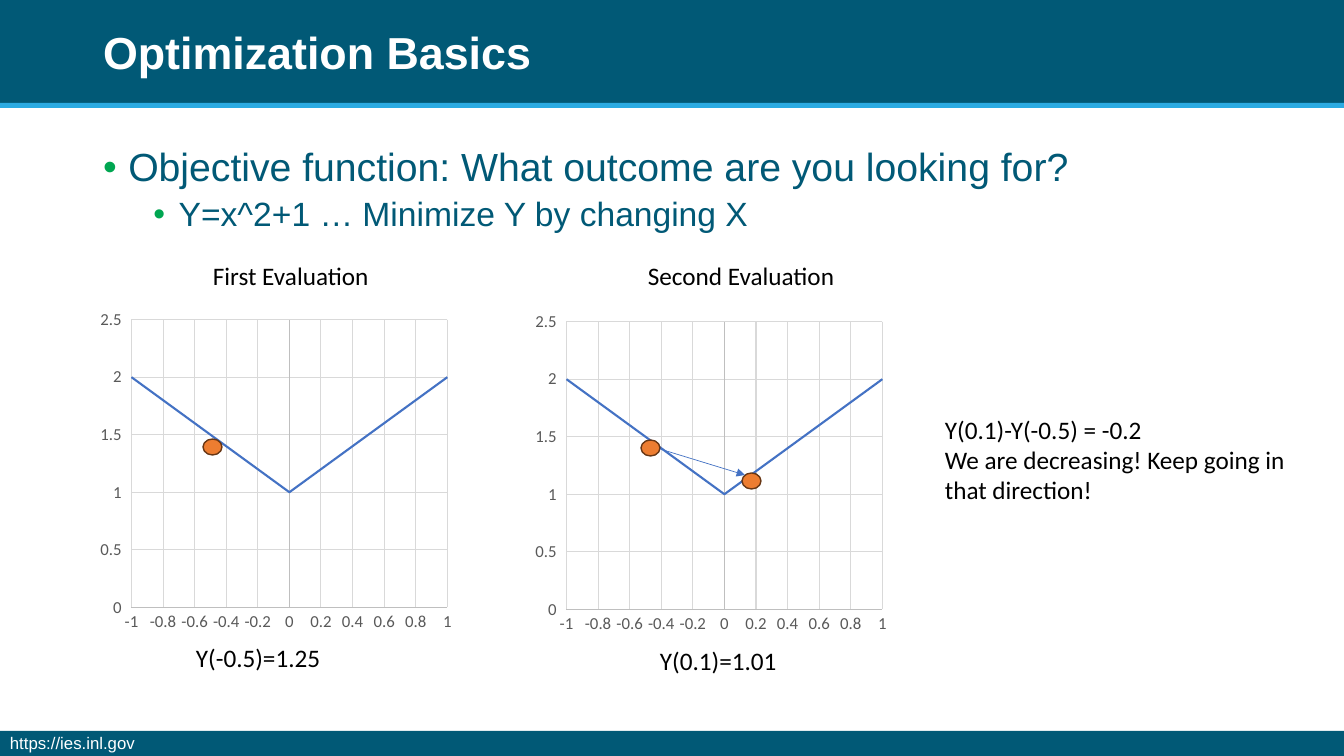
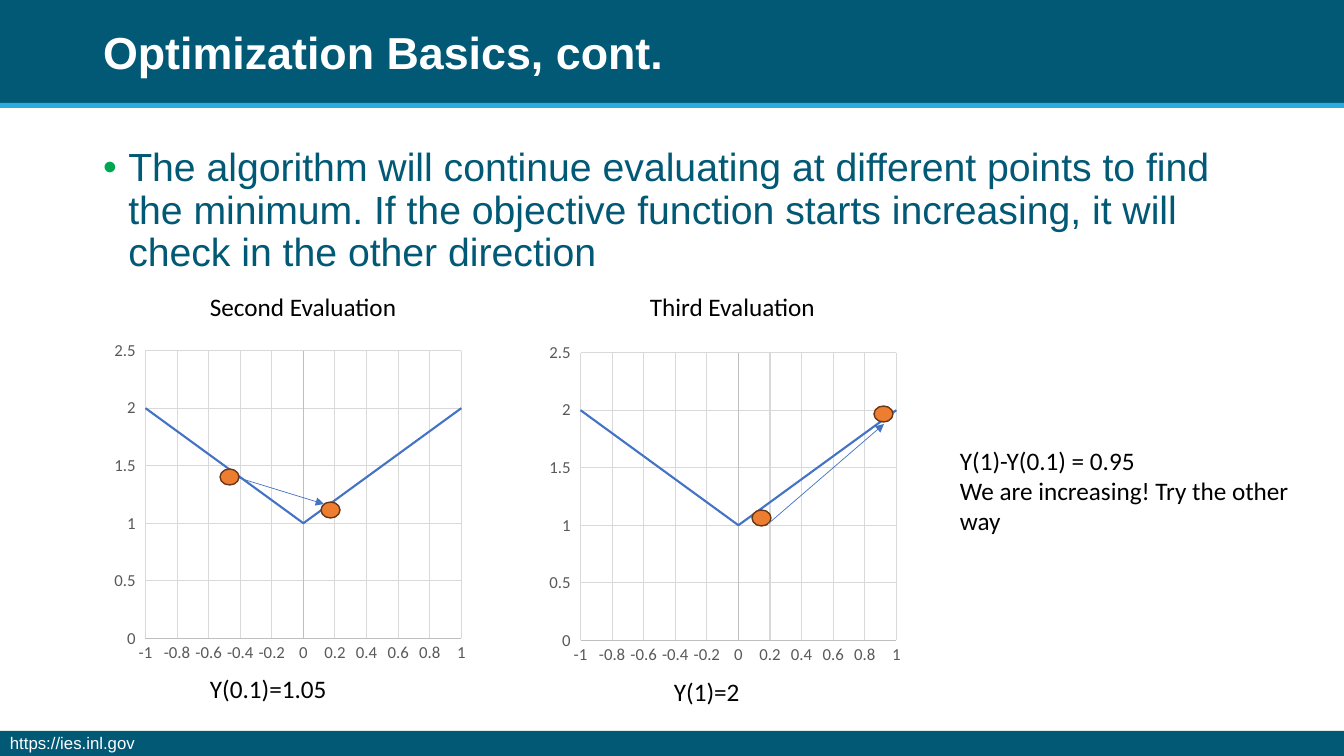
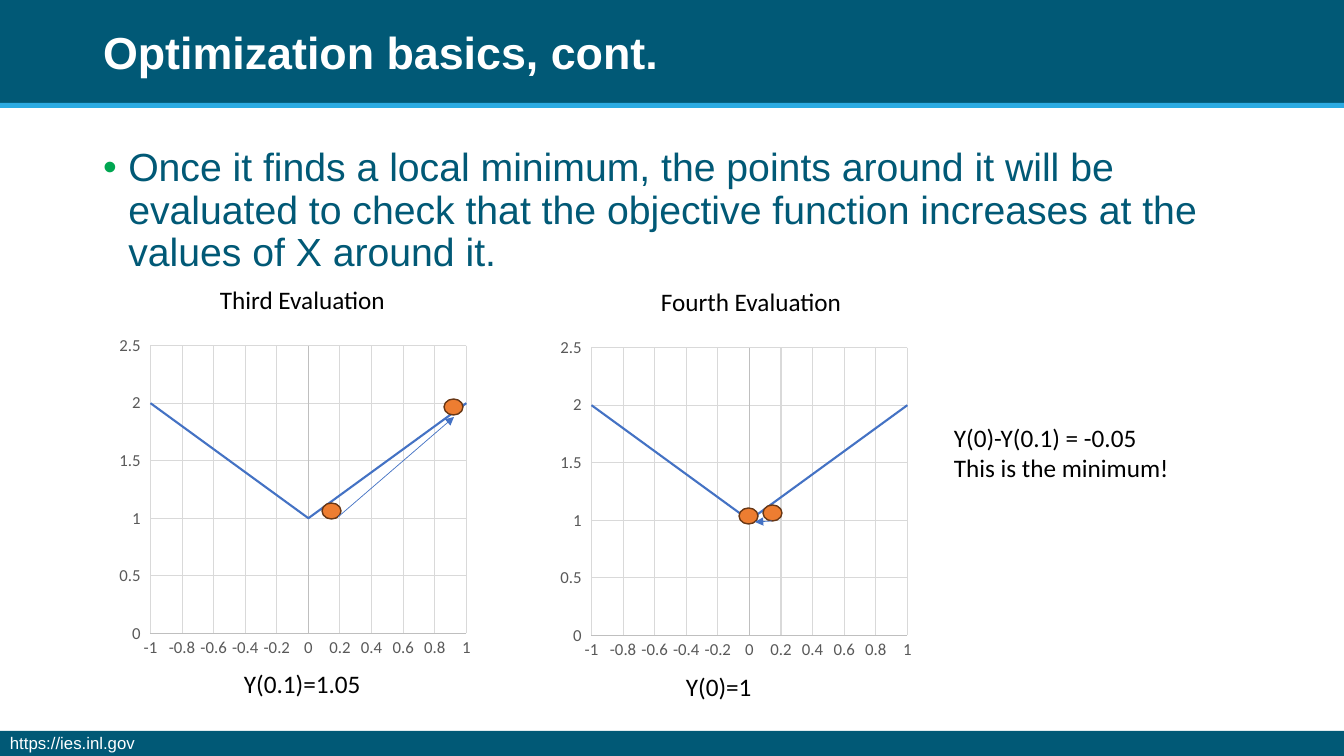
"""Build three slides that explain how an optimizer searches for a minimum."""
import lxml.etree
import pptx
import pptx.chart.data
import pptx.dml.color
import pptx.enum.chart
import pptx.enum.shapes
import pptx.enum.text
import pptx.oxml.ns
import pptx.util

COLORS = {
    "teal": "015976", "sky": "2BABE2", "green": "00A651", "white": "FFFFFF",
    "black": "000000", "curve": "4472C4", "dot": "ED7D31", "dot_edge": "683715",
    "grid": "D9D9D9", "axis": "BFBFBF", "tick": "595959",
}
RGB = {name: pptx.dml.color.RGBColor.from_string(value) for name, value in COLORS.items()}
Pt = pptx.util.Pt
qn = pptx.oxml.ns.qn
W, H = 1344, 756
CHART_W, CHART_H = 366, 335
DOT_W, DOT_H = 19, 16

EVALUATIONS = {
    "First": {"width": 177, "dots": [(110, 136)], "arrow": None},
    "Second": {"width": 209, "dots": [(113, 135), (214, 168)], "arrow": (132, 144, 217, 170)},
    "Third": {"width": 187, "dots": [(210, 174), (332, 70)], "arrow": (226, 188, 342, 88)},
    "Fourth": {"width": 203, "dots": [(210, 174), (186, 177)], "arrow": (219, 190, 202, 191)},
}

PAGES = [
    {
        "title": "Optimization Basics",
        "bullets": ["Objective function: What outcome are you looking for?",
                    "Y=x^2+1 … Minimize Y by changing X"],
        "charts": [("First", (93, 303), (203, 255), "Y(-0.5)=1.25", (186, 637, 146)),
                   ("Second", (528, 305), (638, 255), "Y(0.1)=1.01", (650, 640, 138))],
        "note": ["Y(0.1)-Y(-0.5) = -0.2", "We are decreasing! Keep going in that direction!"],
        "note_box": (935, 409, 391, 102),
    },
    {
        "title": "Optimization Basics, cont.",
        "bullets": ["The algorithm will continue evaluating at different points to find the minimum. "
                    "If the objective function starts increasing, it will check in the other direction"],
        "charts": [("Second", (107, 334), (200, 286), "Y(0.1)=1.05", (200, 668, 138)),
                   ("Third", (542, 336), (640, 286), "Y(1)=2", (664, 671, 87))],
        "note": ["Y(1)-Y(0.1) = 0.95", "We are increasing! Try the other way"],
        "note_box": (950, 440, 391, 102),
    },
    {
        "title": "Optimization basics, cont.",
        "bullets": ["Once it finds a local minimum, the points around it will be evaluated to check "
                    "that the objective function increases at the values of X around it."],
        "charts": [("Third", (112, 329), (210, 279), "Y(0.1)=1.05", (234, 663, 138)),
                   ("Fourth", (553, 331), (651, 281), "Y(0)=1", (676, 666, 87))],
        "note": ["Y(0)-Y(0.1) = -0.05", "This is the minimum!"],
        "note_box": (944, 417, 391, 72),
    },
]


def px(*lengths):
    """Turn pixel lengths into EMU."""
    return [round(length * 12192000 / W) for length in lengths]


def add_text(s, lines, box, font="Calibri", size=18, color="black", wrap=False):
    """Add a text box with one paragraph per line."""
    tf = s.shapes.add_textbox(*px(*box)).text_frame
    tf.word_wrap = wrap
    tf.auto_size = pptx.enum.text.MSO_AUTO_SIZE.SHAPE_TO_FIT_TEXT
    for i, line in enumerate(lines):
        p = tf.paragraphs[0] if i == 0 else tf.add_paragraph()
        r = p.add_run()
        r.text = line
        r.font.name, r.font.size = font, Pt(size)
        r.font.color.rgb = RGB[color]


prs = pptx.Presentation()
prs.slide_width, prs.slide_height = px(W, H)
layout = prs.slide_layouts[1]
for ph in list(layout.placeholders):
    if ph.placeholder_format.idx > 1:
        ph.element.getparent().remove(ph.element)
for ph, box in zip(layout.placeholders, [(93, -18, 1159, 146), (93, 143, 1159, 480)]):
    ph.left, ph.top, ph.width, ph.height = px(*box)

slides = [prs.slides.add_slide(layout) for _ in PAGES]

s = slides[0]
for top, height, color in [(0, 103, "teal"), (103, 5, "sky"), (731, 25, "teal")]:
    sp = s.shapes.add_shape(pptx.enum.shapes.MSO_SHAPE.RECTANGLE, *px(0, top, W, height))
    sp.shadow.inherit = False
    sp.fill.solid()
    sp.fill.fore_color.rgb = RGB[color]
    sp.line.fill.background()
add_text(s, ["https://ies.inl.gov"], (0, 728, 146, 30), "Arial", 12, "white")
for i, sp in enumerate(list(s.shapes)[2:]):
    layout.shapes.element.insert(2 + i, sp.element)

for s, page in zip(slides, PAGES):
    tf = s.shapes.title.text_frame
    tf.auto_size = pptx.enum.text.MSO_AUTO_SIZE.NONE
    tf.vertical_anchor = pptx.enum.text.MSO_ANCHOR.MIDDLE
    p = tf.paragraphs[0]
    p.alignment = pptx.enum.text.PP_ALIGN.LEFT
    p.line_spacing = 0.9
    r = p.add_run()
    r.text = page["title"]
    r.font.name, r.font.size, r.font.bold = "Arial", Pt(32), True
    r.font.color.rgb = RGB["white"]

    tf = s.placeholders[1].text_frame
    tf.auto_size = pptx.enum.text.MSO_AUTO_SIZE.NONE
    for level, line in enumerate(page["bullets"]):
        p = tf.paragraphs[0] if level == 0 else tf.add_paragraph()
        p.level = level
        pPr = p._p.get_or_add_pPr()
        pPr.set("marL", str(228600 + 457200 * level))
        pPr.set("indent", "-228600")
        buClr = lxml.etree.SubElement(pPr, qn("a:buClr"))
        lxml.etree.SubElement(buClr, qn("a:srgbClr"), val=COLORS["green"])
        lxml.etree.SubElement(pPr, qn("a:buFont"), typeface="Arial")
        lxml.etree.SubElement(pPr, qn("a:buChar"), char="•")
        p.line_spacing = 0.9
        p.space_before = Pt(5 * level)
        r = p.add_run()
        r.text = line
        r.font.name, r.font.size = "Arial", Pt(28 - 4 * level)
        r.font.color.rgb = RGB["teal"]

    for name, (left, top), heading_at, caption, (cap_left, cap_top, cap_width) in page["charts"]:
        evaluation = EVALUATIONS[name]
        data = pptx.chart.data.XyChartData()
        series = data.add_series("Series 1")
        for x, y in [(-1, 2), (0, 1), (1, 2)]:
            series.add_data_point(x, y)
        chart = s.shapes.add_chart(
            pptx.enum.chart.XL_CHART_TYPE.XY_SCATTER_SMOOTH_NO_MARKERS,
            *px(left, top, CHART_W, CHART_H), data).chart
        chart.has_title = chart.has_legend = False
        chart.font.name, chart.font.size = "Calibri", Pt(10)
        chart.font.color.rgb = RGB["black"]
        plot = chart.plots[0]
        plot.vary_by_categories = False
        curve = plot.series[0]
        curve.smooth = True
        curve.format.line.color.rgb = RGB["curve"]
        curve.format.line.width = Pt(1.5)
        for axis, low, high, step in [(chart.category_axis, -1, 1, 0.2),
                                      (chart.value_axis, 0, 2.5, 0.5)]:
            axis.minimum_scale, axis.maximum_scale, axis.major_unit = low, high, step
            axis.major_tick_mark = axis.minor_tick_mark = pptx.enum.chart.XL_TICK_MARK.NONE
            axis.has_major_gridlines = True
            for line, color in [(axis.format.line, "axis"),
                                (axis.major_gridlines.format.line, "grid")]:
                line.color.rgb = RGB[color]
                line.width = Pt(0.75)
            font = axis.tick_labels.font
            font.name, font.size = "Calibri", Pt(12)
            font.color.rgb = RGB["tick"]
        chart.value_axis.tick_label_position = pptx.enum.chart.XL_TICK_LABEL_POSITION.LOW

        add_text(s, [f"{name} Evaluation"], (*heading_at, evaluation["width"], 40))
        add_text(s, [caption], (cap_left, cap_top, cap_width, 40))

        for x, y in evaluation["dots"]:
            dot = s.shapes.add_shape(pptx.enum.shapes.MSO_SHAPE.OVAL,
                                     *px(left + x, top + y, DOT_W, DOT_H))
            dot.shadow.inherit = False
            dot.fill.solid()
            dot.fill.fore_color.rgb = RGB["dot"]
            dot.line.color.rgb = RGB["dot_edge"]
            dot.line.width = Pt(1)
        if evaluation["arrow"]:
            x1, y1, x2, y2 = evaluation["arrow"]
            arrow = s.shapes.add_connector(pptx.enum.shapes.MSO_CONNECTOR.STRAIGHT,
                                           *px(left + x1, top + y1, left + x2, top + y2))
            arrow.line.color.rgb = RGB["curve"]
            arrow.line.width = Pt(0.5)
            spPr = arrow.element.spPr
            lxml.etree.SubElement(spPr.find(qn("a:ln")), qn("a:tailEnd"), type="triangle")
            lxml.etree.SubElement(spPr, qn("a:effectLst"))

    add_text(s, page["note"], page["note_box"], wrap=True)

prs.save("out.pptx")
